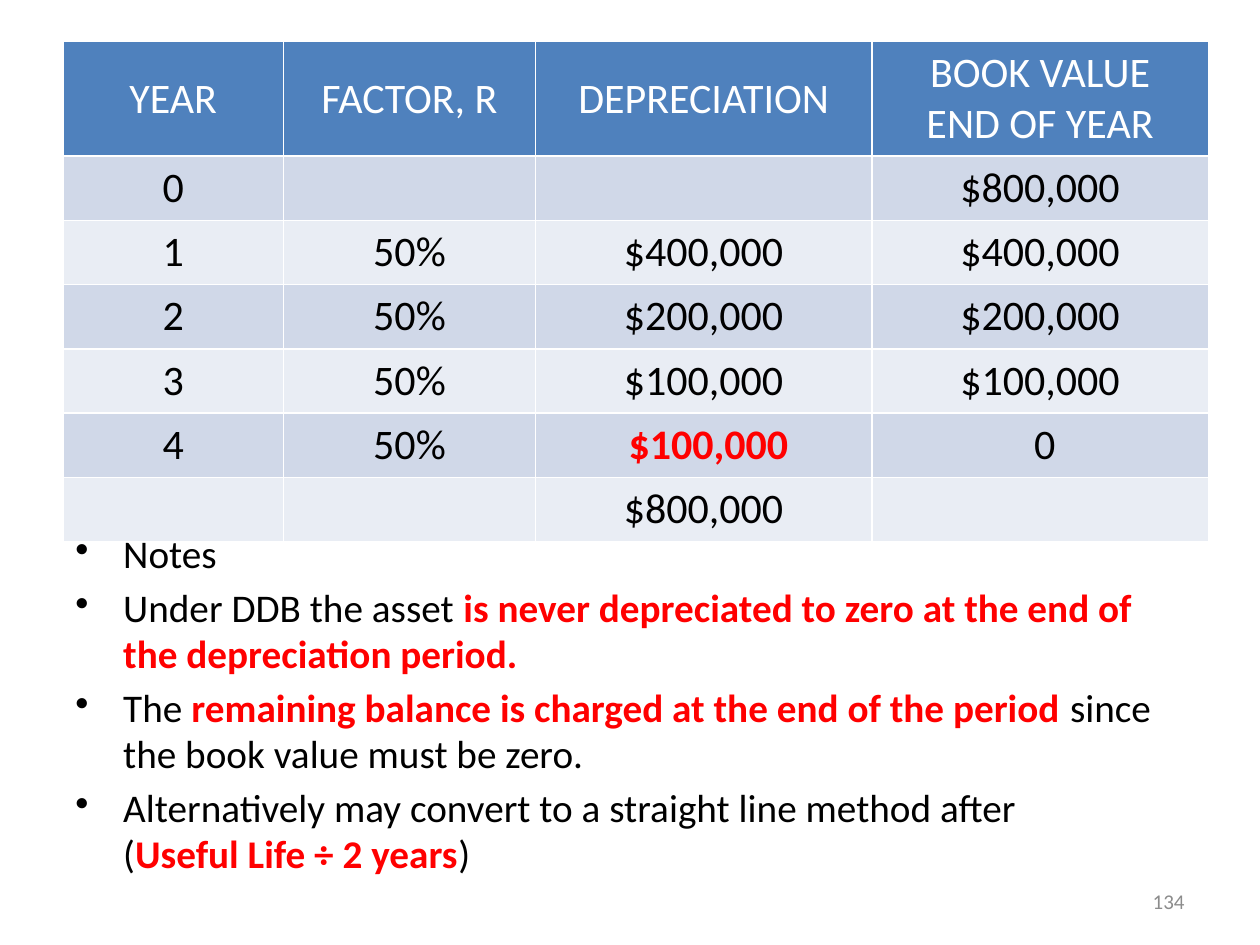
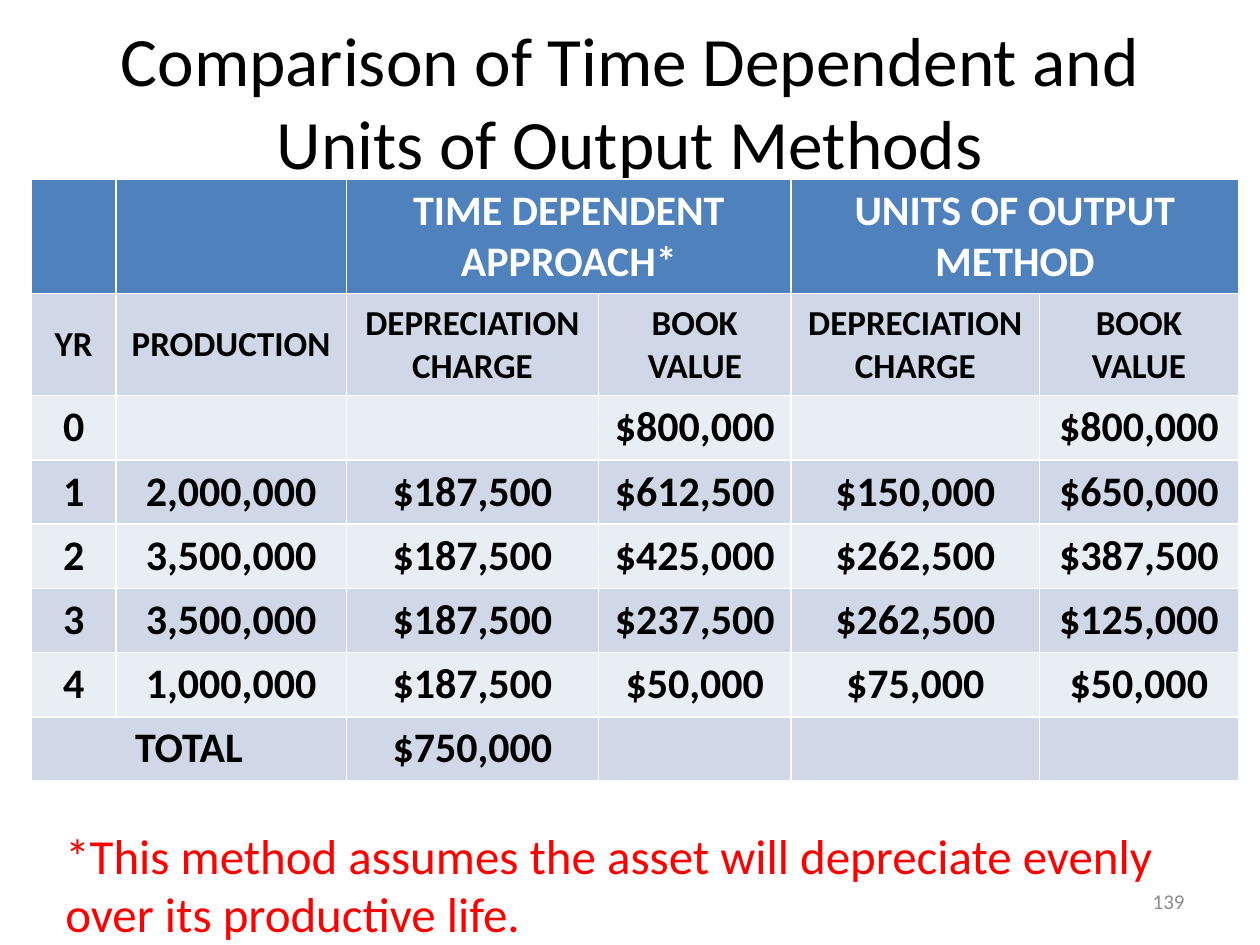
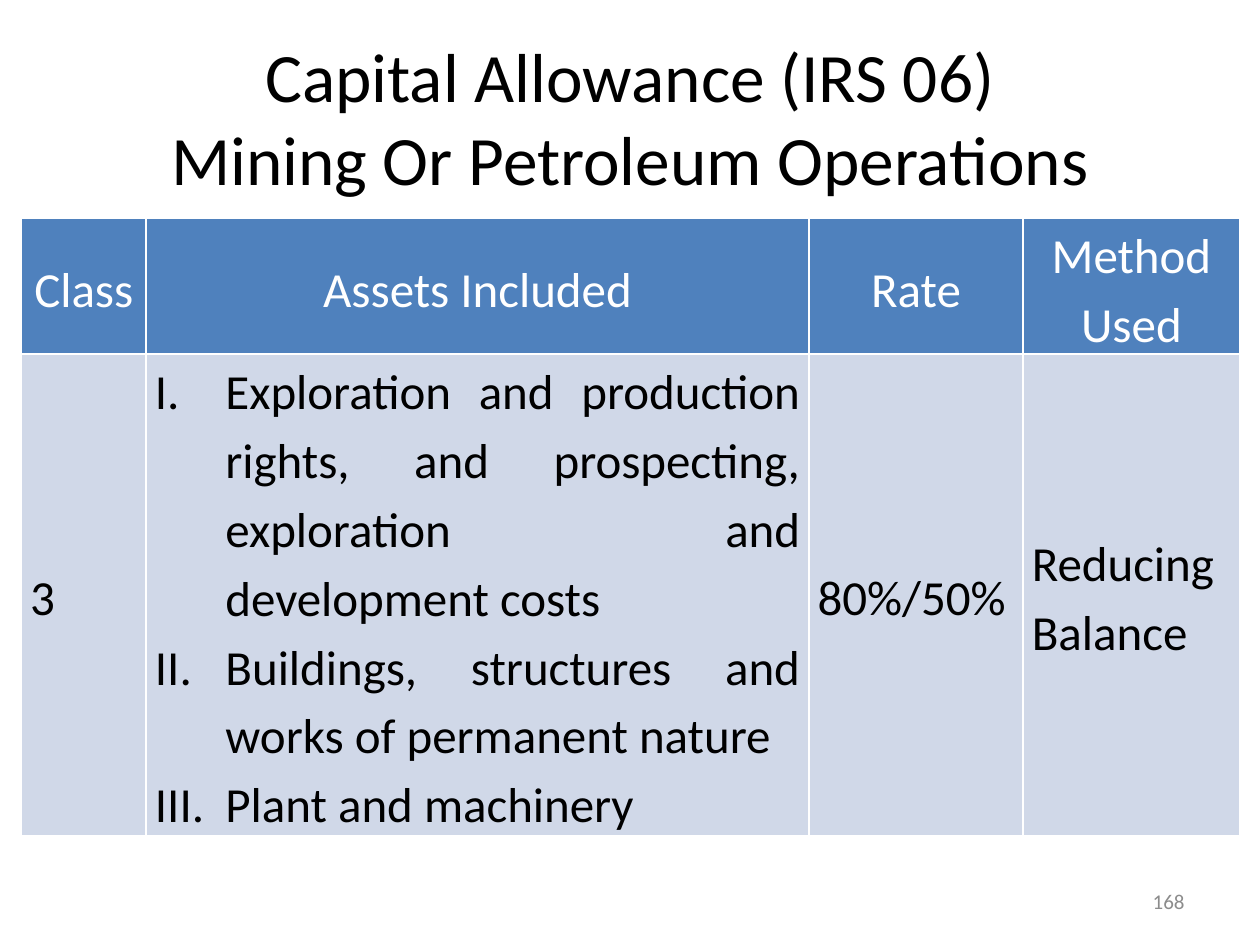
from lxml import etree
from pptx import Presentation
from pptx.dml.color import RGBColor
from pptx.enum import text as t
from pptx.oxml import ns
from pptx.util import Inches, Pt

FONT = "Calibri"
BLACK, WHITE, RED, GREY = "000000", "FFFFFF", "FF0000", "8C8C8C"
HEADER, BANDS = "4F81BD", ("D0D8E8", "E9EDF4")
LEFT, CENTER, RIGHT, JUSTIFY = (
    t.PP_ALIGN.LEFT, t.PP_ALIGN.CENTER, t.PP_ALIGN.RIGHT, t.PP_ALIGN.JUSTIFY)
TOP, MIDDLE = t.MSO_ANCHOR.TOP, t.MSO_ANCHOR.MIDDLE
EMPHASIS = {"color": RED, "bold": True}


def rgb(value):
    return RGBColor.from_string(value)


def add_xml(parent, tag, **attributes):
    return etree.SubElement(parent, ns.qn(tag), attributes)


def add_bullet(para, indent, tag, **attributes):
    properties = para._p.get_or_add_pPr()
    properties.set("marL", str(Inches(indent)))
    properties.set("indent", str(-Inches(indent)))
    add_xml(properties, tag, **attributes)


def style_font(font, color=BLACK, **values):
    for name, value in {"name": FONT, **values}.items():
        setattr(font, name, value)
    font.color.rgb = rgb(color)


def write(frame, paragraphs, para_format, bullet=None, gap=None, **font):
    """Fill a frame; a paragraph is a string or a list of (string, font changes)."""
    for index, spans in enumerate(paragraphs):
        para = frame.add_paragraph() if index else frame.paragraphs[0]
        for name, value in para_format.items():
            setattr(para, name, value)
        if index and gap:
            para.space_before = gap
        if bullet:
            add_bullet(para, **bullet)
        for words, changes in [(spans, {})] if isinstance(spans, str) else spans:
            for number, line in enumerate(words.split("\v")):
                if number:
                    para.add_line_break()
                span = para.add_run()
                span.text = line
                style_font(span.font, **{**font, **changes})


def add_text(page, box, paragraphs, align=LEFT, anchor=TOP, spacing=None, **options):
    frame = page.shapes.add_textbox(*map(Inches, box)).text_frame
    frame.word_wrap = True
    frame.vertical_anchor = anchor
    write(frame, paragraphs, {"alignment": align, "line_spacing": spacing}, **options)


def add_title(page, top, words):
    add_text(page, (0.5, top, 9, 1.25), [words], CENTER, MIDDLE, size=Pt(39.6))


def add_page_number(page, number):
    add_text(page, (7.17, 6.95, 2.33, 0.4), [str(number)], RIGHT, MIDDLE,
             size=Pt(12), color=GREY)


def add_borders(cell):
    properties = cell._tc.get_or_add_tcPr()
    for side in ("a:lnL", "a:lnR", "a:lnT", "a:lnB"):
        line = add_xml(properties, side, w=str(Pt(1)))
        add_xml(add_xml(line, "a:solidFill"), "a:srgbClr", val=WHITE)


def add_grid(page, left, top, widths, heights):
    """Add an empty table with a header row and banded rows below it."""
    box = map(Inches, (left, top, sum(widths), sum(heights)))
    table = page.shapes.add_table(len(heights), len(widths), *box).table
    table.first_row = table.horz_banding = False
    for column, width in zip(table.columns, widths):
        column.width = Inches(width)
    for index, (row, height) in enumerate(zip(table.rows, heights)):
        row.height = Inches(height)
        for cell in row.cells:
            add_borders(cell)
            cell.fill.solid()
            cell.fill.fore_color.rgb = rgb(BANDS[(index - 1) % 2] if index else HEADER)
    return table


def fill_row(table, index, entries, align=CENTER, anchor=TOP, spacing=None, **font):
    """Write one row; each line of an entry is a paragraph."""
    for cell, entry in zip(table.rows[index].cells, entries):
        cell.vertical_anchor = anchor
        if entry:
            color = BLACK if index else WHITE
            write(cell.text_frame, entry.split("\n"),
                  {"alignment": align, "line_spacing": spacing},
                  **{"color": color, **font})


def build_declining_balance(page):
    add_text(page, (0.5, 4.17, 9, 2.53), [
        "Notes",
        [("Under DDB the asset ", {}),
         ("is never depreciated to zero at the end of the depreciation period.", EMPHASIS)],
        [("The ", {}),
         ("remaining balance is charged at the end of the period ", EMPHASIS),
         ("since the book value must be zero.", {})],
        [("Alternatively may convert to a straight line method after\v(", {}),
         ("Useful Life ÷ 2 years", EMPHASIS), (")", {})],
    ], spacing=0.98, size=Pt(22.4), gap=Pt(4.5),
        bullet={"indent": 0.38, "tag": "a:buChar", "char": "•"})

    rows = [
        ("YEAR", "FACTOR, R", "DEPRECIATION", "BOOK VALUE\nEND OF YEAR"),
        ("0", "", "", "$800,000"),
        ("1", "50%", "$400,000", "$400,000"),
        ("2", "50%", "$200,000", "$200,000"),
        ("3", "50%", "$100,000", "$100,000"),
        ("4", "50%", " $100,000", " 0"),
        ("", "", "$800,000", ""),
    ]
    table = add_grid(page, 0.5, 0.33, (1.75, 2, 2.67, 2.67), [0.91] + [0.51] * 6)
    for index, entries in enumerate(rows):
        fill_row(table, index, entries, anchor=TOP if index else MIDDLE, size=Pt(24))
    final_charge = table.cell(5, 2).text_frame.paragraphs[0].runs[0]
    style_font(final_charge.font, **EMPHASIS)
    add_page_number(page, 134)


def build_method_comparison(page):
    add_title(page, 0.17, "Comparison of Time Dependent and Units of Output Methods")
    measures = ("DEPRECIATION\nCHARGE", "BOOK\nVALUE")
    rows = [
        ("", "", "TIME DEPENDENT APPROACH*", "", "UNITS OF OUTPUT METHOD", ""),
        ("YR", "PRODUCTION", *measures, *measures),
        ("0", "", "", "$800,000", "", "$800,000"),
        ("1", "2,000,000", "$187,500", "$612,500", "$150,000", "$650,000"),
        ("2", "3,500,000", "$187,500", "$425,000", "$262,500", "$387,500"),
        ("3", "3,500,000", "$187,500", "$237,500", "$262,500", "$125,000"),
        ("4", "1,000,000", "$187,500", "$50,000", "$75,000", "$50,000"),
        ("TOTAL", "", "$750,000", "", "", ""),
    ]
    table = add_grid(page, 0.25, 1.42, (0.67, 1.83, 2, 1.53, 1.97, 1.58),
                     [0.91, 0.81] + [0.51] * 6)
    for row, column in ((0, 2), (0, 4), (7, 0)):
        table.cell(row, column).merge(table.cell(row, column + 1))
    for index, entries in enumerate(rows):
        labels = index == 1
        fill_row(table, index, entries, anchor=MIDDLE if labels else TOP,
                 size=Pt(20 if labels else 24), bold=True)
    add_text(page, (0.42, 6.5, 8.92, 1.04),
             ["*This method assumes the asset will depreciate evenly "
              "over its productive life."], size=Pt(28), color=RED)
    add_page_number(page, 139)


def build_capital_allowance(page):
    add_title(page, 0.3, "Capital Allowance (IRS 06)\vMining Or Petroleum Operations")
    table = add_grid(page, 0.17, 1.73, (0.99, 5.26, 1.7, 1.72), (1.08, 3.82))
    margins = {"margin_left": 0.07, "margin_right": 0.07,
               "margin_top": 0, "margin_bottom": 0}
    for cell in table.iter_cells():
        for name, value in margins.items():
            setattr(cell, name, Inches(value))
    style = {"anchor": MIDDLE, "spacing": 1.15, "size": Pt(28)}
    fill_row(table, 0, ("Class", "Assets Included", "Rate", "Method Used"), **style)
    fill_row(table, 1, ("3", "", "80%/50%", "Reducing Balance"), align=JUSTIFY, **style)
    assets = table.cell(1, 1)
    assets.vertical_anchor = TOP
    write(assets.text_frame, [
        "Exploration and production rights, and prospecting, "
        "exploration and development costs",
        "Buildings, structures and works of permanent nature",
        "Plant and machinery",
    ], {"alignment": JUSTIFY, "line_spacing": 1.15}, size=Pt(28),
        bullet={"indent": 0.56, "tag": "a:buAutoNum", "type": "romanUcPeriod"})
    add_page_number(page, 168)


def main():
    deck = Presentation()
    deck.slide_width, deck.slide_height = Inches(10), Inches(7.5)
    for build in (build_declining_balance, build_method_comparison,
                  build_capital_allowance):
        build(deck.slides.add_slide(deck.slide_layouts[6]))
    deck.save("out.pptx")


if __name__ == "__main__":
    main()
